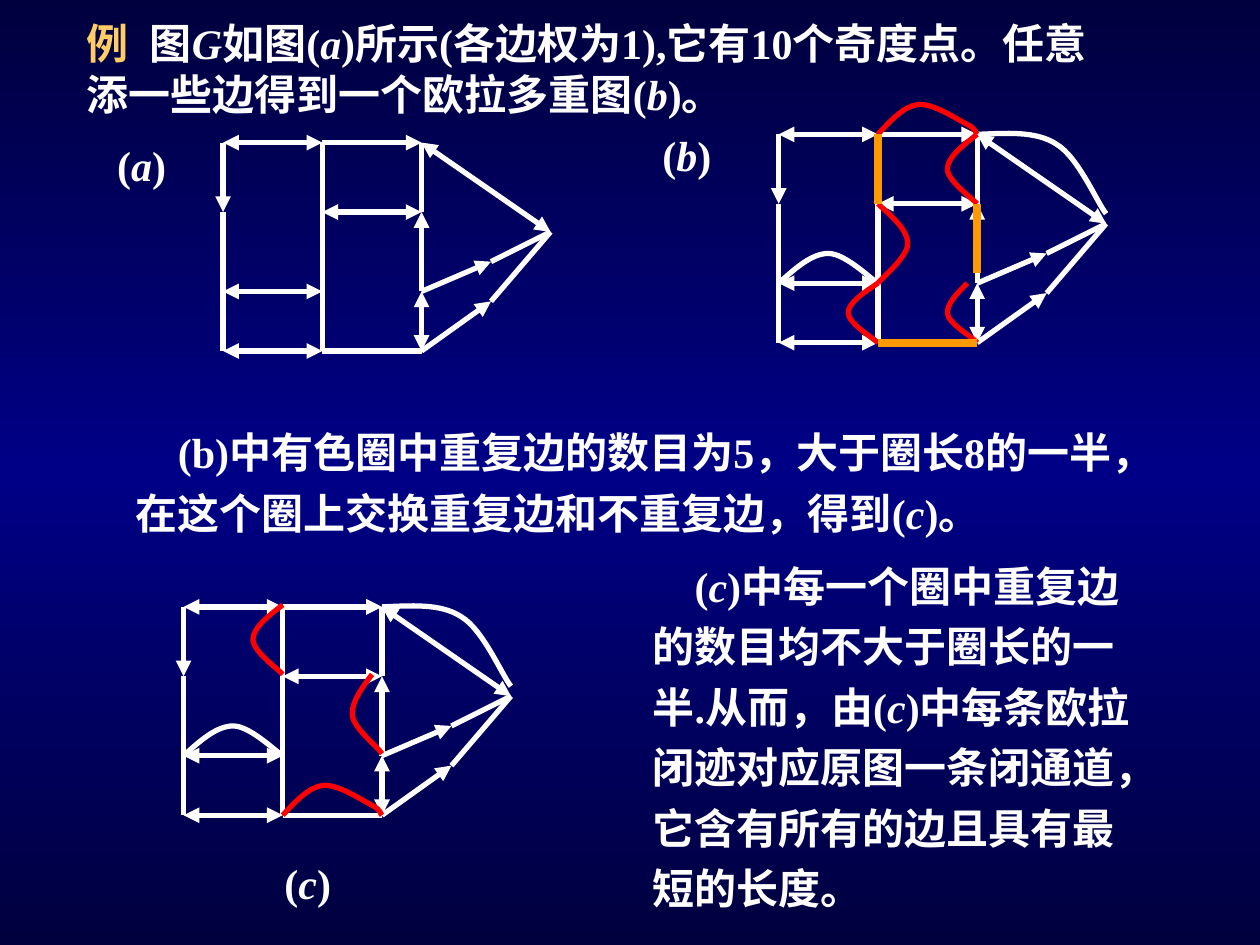
from copy import deepcopy

from lxml import etree
from pptx import Presentation
from pptx.dml.color import RGBColor
from pptx.enum.shapes import MSO_CONNECTOR
from pptx.enum.text import MSO_ANCHOR, MSO_AUTO_SIZE, PP_ALIGN
from pptx.oxml.ns import qn
from pptx.util import Pt

STRAIGHT = MSO_CONNECTOR.STRAIGHT
TOP = MSO_ANCHOR.TOP
LEFT = PP_ALIGN.LEFT
GROW = MSO_AUTO_SIZE.SHAPE_TO_FIT_TEXT

FONT = "Times New Roman"
WHITE, RED, ORANGE, GOLD = "FFFFFF", "FF0000", "FF9900", "FFCC66"
NAVY, BLUE = "00003E", "000086"
UNIT = 5.67  # one grid step of a graph, in points

# Edges in grid steps: start, end, arrowheads (< at start, > at end)
EDGES = [
    ((0, 0), (10, 0), "<>"), ((10, 0), (20, 0), ">"),
    ((10, 7), (20, 7), "<>"), ((0, 15), (10, 15), "<>"),
    ((10, 0), (10, 7), ""), ((0, 0), (0, 7), ">"),
    ((0, 7), (0, 15), ""), ((10, 7), (10, 15), ""),
    ((0, 15), (0, 21), ""), ((10, 15), (10, 21), ""),
    ((0, 21), (10, 21), "<>"), ((20, 0), (20, 7), ""),
    ((20, 7), (20, 15), "<"), ((10, 21), (20, 21), ""),
    ((20, 15), (20, 21), "<>"), ((20, 0), (33, 9), "<>"),
    ((20, 15), (27, 12), ">"), ((27, 12), (33, 9), ""),
    ((20, 21), (27, 16), ">"), ((27, 16), (33, 9), ""),
]


def bulge(width, height, drift=0):
    """Bezier points of a sideways bow, relative to its start."""
    return [(width / 2, height / 6), (width, height / 3), (width, height / 2),
            (width, height * 0.67), (drift + width / 6, height * 0.92), (drift, height)]


HUMP = [(x, y) for y, x in bulge(-3, 10)]
CREST = [(1.3, -1.4), (2.6, -2.8), (4, -3), (5.5, -3.2), (8, -1.5),
         (9, -1), (10, -0.5), (9.8, -0.1), (10, 0)]
OUTER = [(2.8, -0.1), (5.9, -0.4), (8, 1), (10.2, 2.3), (12.1, 6.9), (13, 8)]

# Added edges: start, Bezier points, colour
SHARED_CURVES = [((20, 0), OUTER, WHITE), ((0, 15), HUMP, WHITE)]
B_CURVES = SHARED_CURVES + [
    ((10, 0), CREST, RED), ((20, 0), bulge(-3, 7), RED),
    ((19, 15), bulge(-2, 6, 1), RED), ((10, 7), bulge(3, 8), RED),
    ((10, 15), bulge(-3, 6), RED),
]
C_CURVES = SHARED_CURVES + [
    ((10, 21), CREST, RED), ((10, -0.2), bulge(-3, 7), RED),
    ((19, 6.8), bulge(-2, 8, 1), RED),
]
B_MARKED = [((10, 0), (10, 7)), ((10, 21), (20, 21)), ((20, 7), (20, 14))]


def rgb(value):
    return RGBColor.from_string(value)


def paint_background(slide):
    fill = slide.background.fill
    fill.gradient()
    fill.gradient_angle = 90
    stops = next(slide.element.iter(qn("a:gsLst")))
    stops.insert(1, deepcopy(stops[0]))
    for stop, position, color in zip(fill.gradient_stops, (0, 0.5, 1), (NAVY, BLUE, NAVY)):
        stop.position = position
        stop.color.rgb = rgb(color)


def place(shape, box):
    shape.left, shape.top, shape.width, shape.height = map(Pt, box)


def write(frame, text, lead=""):
    """Fill a frame; parts between asterisks are italic, the lead is gold."""
    frame.word_wrap = True
    frame.auto_size = GROW
    frame.vertical_anchor = TOP
    paragraph = frame.paragraphs[0]
    paragraph.alignment = LEFT
    parts = [(lead, GOLD, False)] if lead else []
    parts += [(part, WHITE, i % 2 == 1) for i, part in enumerate(text.split("*"))]
    for part, color, italic in parts:
        run = paragraph.add_run()
        run.text = part
        font = run.font
        font.name, font.size, font.bold, font.italic = FONT, Pt(24), True, italic
        font.color.rgb = rgb(color)
    return paragraph


def add_heading(slide, box, lead, text):
    title = slide.shapes.title
    place(title, box)
    paragraph = write(title.text_frame, text, lead)
    tabs = etree.SubElement(paragraph._p.get_or_add_pPr(), qn("a:tabLst"))
    etree.SubElement(tabs, qn("a:tab"), pos=str(Pt(36)), algn="l")


def add_text(shapes, box, text):
    return write(shapes.add_textbox(*map(Pt, box)).text_frame, text)


def add_body(slide, box, text):
    paragraph = add_text(slide.shapes, box, text)
    paragraph.line_spacing = 1.2
    paragraph._p.get_or_add_pPr().set("indent", str(Pt(24)))


def add_edge(shapes, start, end, heads="", color=WHITE, weight=3):
    edge = shapes.add_connector(STRAIGHT, *start, *end)
    edge.line.color.rgb = rgb(color)
    edge.line.width = Pt(weight)
    line = edge.line._get_or_add_ln()
    for mark, tag in (("<", "a:headEnd"), (">", "a:tailEnd")):
        if mark in heads:
            etree.SubElement(line, qn(tag), type="triangle")
    etree.SubElement(edge._element.spPr, qn("a:effectLst"))


def add_curve(shapes, points, color):
    builder = shapes.build_freeform(*points[0])
    builder.add_line_segments(points[1:], close=False)
    curve = builder.convert_to_shape()
    curve.shadow.inherit = False
    curve.fill.background()
    curve.line.color.rgb = rgb(color)
    curve.line.width = Pt(3)
    # Merge every three straight segments into one cubic segment
    segments = list(curve._element.iter(qn("a:lnTo")))
    for i in range(0, len(segments), 3):
        cubic = etree.Element(qn("a:cubicBezTo"))
        segments[i].addprevious(cubic)
        for segment in segments[i:i + 3]:
            cubic.append(segment[0])
            segment.getparent().remove(segment)


def add_graph(slide, left, top, label, label_box, curves=(), marked=()):
    shapes = slide.shapes.add_group_shape().shapes

    def at(point):
        return Pt(left + point[0] * UNIT), Pt(top + point[1] * UNIT)

    for start, end, heads in EDGES:
        add_edge(shapes, at(start), at(end), heads)
    for (x, y), bends, color in curves:
        points = [(0, 0)] + bends
        add_curve(shapes, [at((x + dx, y + dy)) for dx, dy in points], color)
    for start, end in marked:
        add_edge(shapes, at(start), at(end), color=ORANGE, weight=4.5)
    add_text(slide.shapes, label_box, f"(*{label}*)")


def main():
    deck = Presentation()
    deck.slide_width, deck.slide_height = Pt(720), Pt(540)
    slide = deck.slides.add_slide(deck.slide_layouts[5])
    paint_background(slide)

    # Problem statement
    add_heading(slide, (42.5, 6.5, 601, 65), "例\t",
                "图*G*如图(*a*)所示(各边权为1),它有10个奇度点。"
                "任意添一些边得到一个欧拉多重图(*b*)。")

    # Graphs
    add_graph(slide, 127.5, 81.5, "a", (59.8, 76.3, 73.4, 36))
    add_graph(slide, 445, 76.8, "b", (371.5, 70.6, 64, 36), B_CURVES, B_MARKED)
    add_graph(slide, 104.9, 346.8, "c", (155.5, 486.7, 92, 36), C_CURVES)

    # Explanations
    add_body(slide, (70.6, 234.7, 601, 76.3),
             "(b)中有色圈中重复边的数目为5，大于圈长8的一半，"
             "在这个圈上交换重复边和不重复边，得到(*c*)。")
    add_body(slide, (365.8, 311, 300, 214.6),
             "(*c*)中每一个圈中重复边的数目均不大于圈长的一半.从而，由(*c*)"
             "中每条欧拉闭迹对应原图一条闭通道，它含有所有的边且具有最短的长度。")

    deck.save("out.pptx")


if __name__ == "__main__":
    main()
